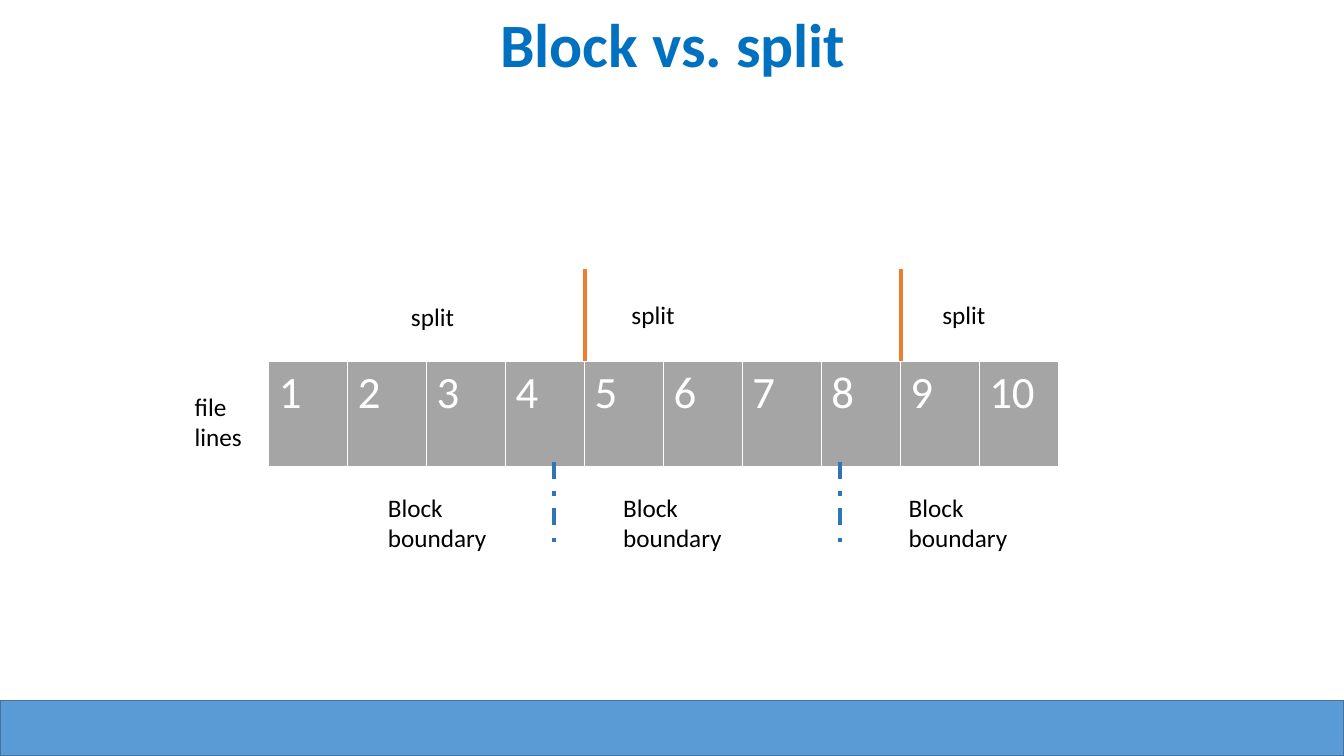
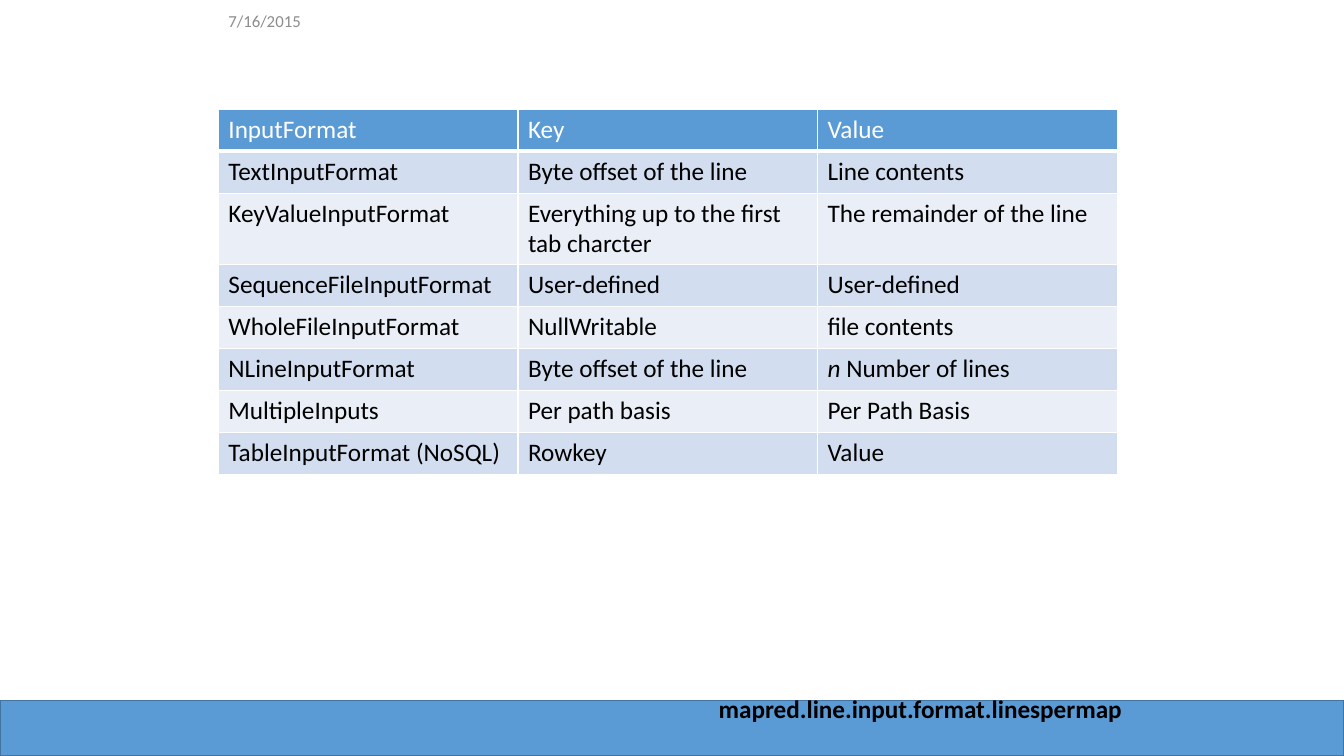
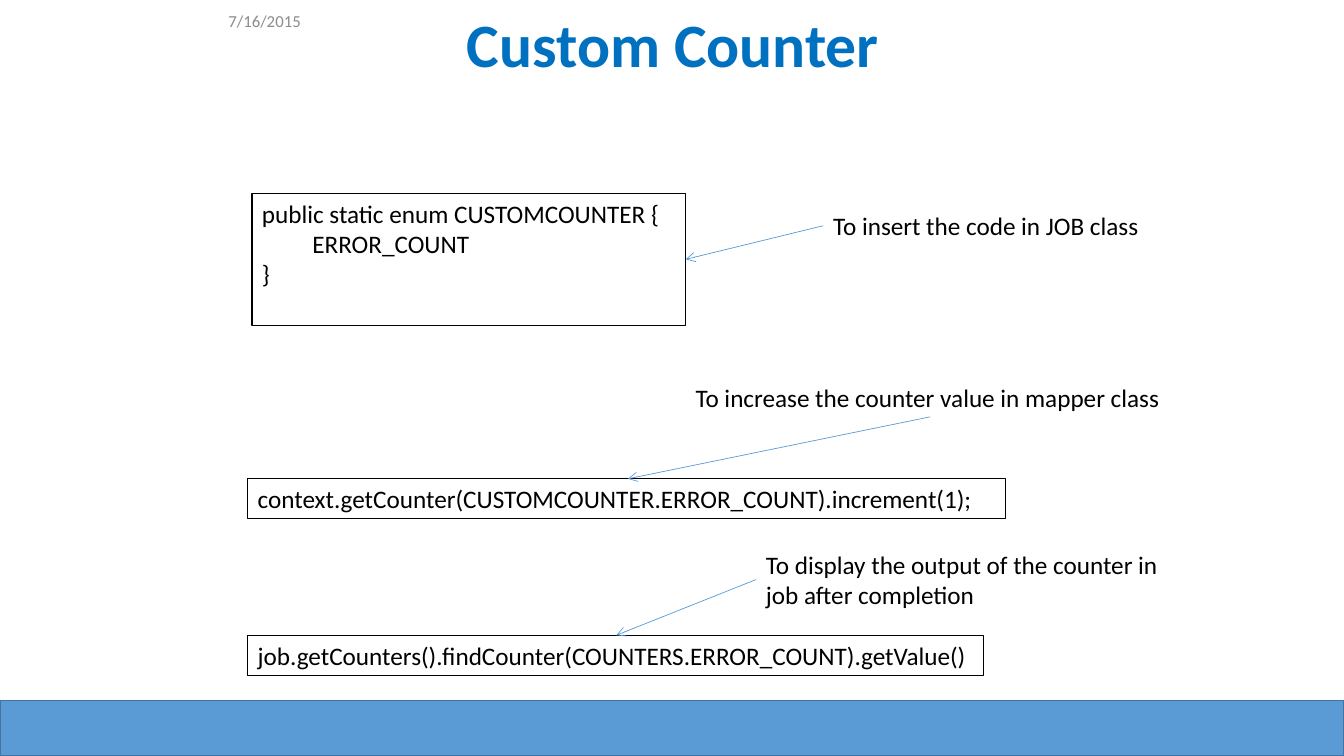
from lxml.etree import SubElement
from pptx import Presentation
from pptx.dml.color import RGBColor
from pptx.enum.dml import MSO_LINE as Dash
from pptx.enum.shapes import MSO_CONNECTOR as Conn, MSO_SHAPE as Shape
from pptx.enum.text import MSO_ANCHOR as Anchor, PP_ALIGN as Align
from pptx.oxml.ns import qn
from pptx.util import Emu, Pt

PX = 9525  # EMU per px, 96 px to the inch
W, H = 1280, 720
FONT = "Calibri"
BLACK, WHITE, BLUE = "000000", "FFFFFF", "5B9BD5"
TITLE, ORANGE, DARK_BLUE = "0070C0", "ED7D31", "2E75B6"
GREY, DATE_GREY, BAND_EDGE = "A5A5A5", "8C8C8C", "43739E"
STRIPES = ("D2DEEF", "EAEFF7")


def px(n):
    return Emu(round(n * PX))


def rgb(color):
    return RGBColor.from_string(color)


def write(tf, text, size=18, color=BLACK, bold=False, align=Align.LEFT,
          anchor=Anchor.TOP, spacing=None):
    """Fill a text frame; in a tuple the first of two runs is italic."""
    tf.word_wrap = True
    tf.vertical_anchor = anchor
    lines = [text] if isinstance(text, tuple) else text.split("\n")
    for i, line in enumerate(lines):
        p = tf.add_paragraph() if i else tf.paragraphs[0]
        p.alignment = align
        p.line_spacing = spacing
        runs = line if isinstance(line, tuple) else (line,)
        for j, part in enumerate(runs):
            r = p.add_run()
            r.text = part
            r.font.name, r.font.size = FONT, Pt(size)
            r.font.bold = bold
            r.font.italic = len(runs) > 1 and j == 0
            r.font.color.rgb = rgb(color)


def border(cell, bottom=1):
    """White lines around a table cell."""
    tc_pr = cell._tc.get_or_add_tcPr()
    for side, width in (("L", 1), ("R", 1), ("T", 1), ("B", bottom)):
        ln = SubElement(tc_pr, qn("a:ln" + side), w=str(Pt(width)))
        SubElement(SubElement(ln, qn("a:solidFill")), qn("a:srgbClr"), val=WHITE)


class Deck:
    def __init__(self):
        self.prs = Presentation()
        self.prs.slide_width, self.prs.slide_height = px(W), px(H)
        self.slide = None

    def new_slide(self, title=None, date=None):
        self.slide = self.prs.slides.add_slide(self.prs.slide_layouts[6])
        self.rect(0, 667, W, 53, BAND_EDGE, 1, fill=BLUE)
        if title:
            self.text(12, 8, 1258, 75, title, size=44, color=TITLE, bold=True,
                      align=Align.CENTER, anchor=Anchor.MIDDLE, spacing=0.9)
        if date:
            self.text(208, 2, 304, 35, date, size=12, color=DATE_GREY,
                      anchor=Anchor.MIDDLE)

    def rect(self, x, y, w, h, line, width, fill=None):
        sp = self.slide.shapes.add_shape(Shape.RECTANGLE, px(x), px(y), px(w), px(h))
        sp.shadow.inherit = False
        sp.line.color.rgb, sp.line.width = rgb(line), Pt(width)
        if fill:
            sp.fill.solid()
            sp.fill.fore_color.rgb = rgb(fill)
        else:
            sp.fill.background()
        return sp

    def code(self, x, y, w, h, text):
        write(self.rect(x, y, w, h, BLACK, 0.75).text_frame, text)

    def text(self, x, y, w, h, text, **fmt):
        sp = self.slide.shapes.add_textbox(px(x), px(y), px(w), px(h))
        write(sp.text_frame, text, **fmt)

    def line(self, x1, y1, x2, y2, color, width, dash=None, arrow=False):
        sp = self.slide.shapes.add_connector(Conn.STRAIGHT, px(x1), px(y1), px(x2), px(y2))
        sp.line.color.rgb, sp.line.width = rgb(color), Pt(width)
        if dash:
            sp.line.dash_style = dash
        if arrow:
            SubElement(sp.line._get_or_add_ln(), qn("a:tailEnd"), type="arrow")
        SubElement(sp._element.spPr, qn("a:effectLst"))

    def table(self, x, y, w, heights, rows, head_fill, head_size=18):
        """First row is the header, the others are striped."""
        cols = len(rows[0])
        frame = self.slide.shapes.add_table(len(rows), cols, px(x), px(y), px(w), px(sum(heights)))
        tbl = frame.table
        tbl.first_row = tbl.horz_banding = False
        for col in tbl.columns:
            col.width = px(w / cols)
        for i, (row, height) in enumerate(zip(rows, heights)):
            tbl.rows[i].height = px(height)
            for j, text in enumerate(row):
                cell = tbl.cell(i, j)
                border(cell, 1 if i else 3)
                cell.fill.solid()
                cell.fill.fore_color.rgb = rgb(STRIPES[(i - 1) % 2] if i else head_fill)
                write(cell.text_frame, text, size=18 if i else head_size,
                      color=BLACK if i else WHITE)


def block_slide(deck):
    deck.new_slide("Block vs. split")
    # File lines
    x, y, w = 256, 344, 752
    deck.table(x, y, w, [102], [[str(n) for n in range(1, 11)]], GREY, 32)
    deck.text(176, 368, 96, 68, "file lines")
    # Labels
    for left in (360, 584, 856):
        deck.text(left, 464, 136, 68, "Block boundary")
    for left, top in ((382, 282), (592, 280), (888, 280)):
        deck.text(left, top, 96, 38, "split")
    # Splits fall between lines, blocks do not
    for n in (4, 8):
        edge = round(x + w * n / 10)
        deck.line(edge, 256, edge, y, ORANGE, 3)
    for edge in (528, 800):
        deck.line(edge, 440, edge, 528, DARK_BLUE, 3, Dash.DASH_DOT)


def format_slide(deck, date):
    deck.new_slide(date=date)
    rows = [
        ("InputFormat", "Key", "Value"),
        ("TextInputFormat", "Byte offset of the line", "Line contents"),
        ("KeyValueInputFormat", "Everything up to the first tab charcter",
         "The remainder of the line"),
        ("SequenceFileInputFormat", "User-defined", "User-defined"),
        ("WholeFileInputFormat", "NullWritable", "file contents"),
        ("NLineInputFormat", "Byte offset of the line", ("n ", "Number of lines")),
        ("MultipleInputs", "Per path basis", "Per Path Basis"),
        ("TableInputFormat (NoSQL)", "Rowkey", "Value"),
    ]
    heights = [40, 40, 68] + [40] * 5
    deck.table(208, 104, 856, heights, rows, BLUE)
    deck.text(675, 656, 406, 38, "mapred.line.input.format.linespermap", bold=True)


def counter_slide(deck, date):
    deck.new_slide("Custom Counter", date)
    # Code boxes
    deck.code(240, 184, 413, 126, "public static enum CUSTOMCOUNTER {\n\tERROR_COUNT\n}")
    deck.code(236, 456, 722, 38, "context.getCounter(CUSTOMCOUNTER.ERROR_COUNT).increment(1);")
    deck.code(236, 605, 701, 38,
              "job.getCounters().findCounter(COUNTERS.ERROR_COUNT).getValue()")
    # Notes and their arrows
    deck.text(784, 196, 314, 38, "To insert the code in JOB class")
    deck.text(653, 359, 467, 38, "To increase the counter value in mapper class")
    deck.text(720, 518, 401, 68, "To display the output of the counter in job after completion")
    for ends in ((784, 215, 653, 247), (886, 397, 598, 456), (720, 552, 587, 605)):
        deck.line(*ends, BLUE, 0.5, arrow=True)


def main():
    deck = Deck()
    date = "7/16/2015"
    block_slide(deck)
    format_slide(deck, date)
    counter_slide(deck, date)
    deck.prs.save("out.pptx")


if __name__ == "__main__":
    main()
